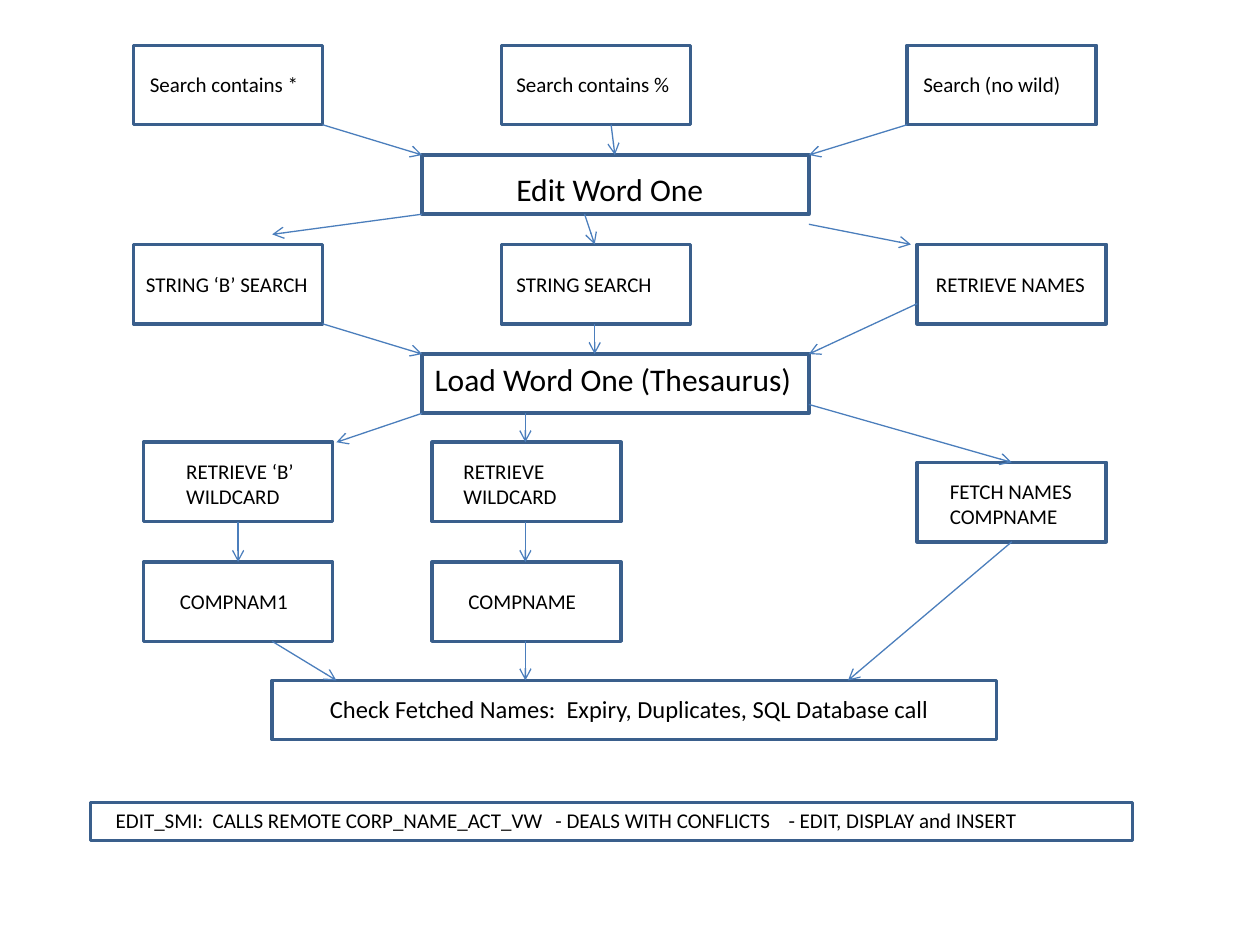
import pptx
import pptx.util
import pptx.dml.color
import pptx.enum.shapes
import pptx.enum.text
import pptx.oxml
import pptx.oxml.ns
from dataclasses import dataclass
from lxml import etree

Inches = pptx.util.Inches
Pt = pptx.util.Pt
RGB = pptx.dml.color.RGBColor.from_string
qn = pptx.oxml.ns.qn


@dataclass(frozen=True)
class Theme:
    font: str = "Calibri"
    ink: str = "000000"
    border: str = "3A5F8C"
    arrow: str = "4B7EBC"
    border_width: float = 2
    arrow_width: float = 0.75
    small: int = 12
    medium: int = 14
    large: int = 18


THEME = Theme()
STEP = (1.5, 0.63)
STAGE = (3.07, 0.47)
STEP_POSITIONS = [
    (1.06, 0.36), (3.98, 0.36), (7.2, 0.36),
    (1.06, 1.94), (3.98, 1.94), (7.28, 1.94),
    (1.14, 3.51), (3.43, 3.51), (7.28, 3.67),
    (1.14, 4.46), (3.43, 4.46),
]
STAGE_POSITIONS = [(3.35, 1.23), (3.35, 2.81)]
CHECK_BAR = (2.16, 5.4, 5.75, 0.47)
EDIT_BAR = (0.72, 6.37, 8.27, 0.3)
EDIT_TABS = (3.49, 5.34)

LABELS = [
    ("Search contains *", 1.09, 0.52, 1.39, THEME.small),
    ("Search contains %", 4, 0.52, 1.43, THEME.small),
    ("Search (no wild)", 7.23, 0.52, 1.3, THEME.small),
    ("Edit Word One", 4, 1.3, 1.7, THEME.large),
    ("STRING ‘B’ SEARCH", 1.06, 2.11, 1.5, THEME.small),
    ("STRING SEARCH", 4, 2.11, 1.29, THEME.small),
    ("RETRIEVE NAMES", 7.33, 2.11, 1.4, THEME.small),
    ("Load Word One (Thesaurus)", 3.35, 2.81, 3.05, THEME.large),
    ("RETRIEVE ‘B’\nWILDCARD", 1.38, 3.59, 1.06, THEME.small),
    ("RETRIEVE\nWILDCARD", 3.58, 3.59, 0.94, THEME.small),
    ("FETCH NAMES\nCOMPNAME", 7.44, 3.75, 1.18, THEME.small),
    ("COMPNAM1", 1.33, 4.62, 1.07, THEME.small),
    ("COMPNAME", 3.62, 4.62, 1.07, THEME.small),
    ("Check Fetched Names:  Expiry, Duplicates, SQL Database call",
     2.52, 5.46, 5, THEME.medium),
]
EDIT_TEXT = ("EDIT_SMI:  CALLS REMOTE CORP_NAME_ACT_VW"
             "\t- DEALS WITH CONFLICTS\t- EDIT, DISPLAY and INSERT")

ARROWS = [
    (2.56, 0.99, 3.35, 1.23), (4.85, 0.99, 4.88, 1.23), (7.2, 0.99, 6.42, 1.23),
    (3.35, 1.7, 2.16, 1.86), (4.64, 1.7, 4.72, 1.94), (6.42, 1.78, 7.23, 1.94),
    (2.56, 2.57, 3.35, 2.81), (4.72, 2.57, 4.72, 2.81), (7.28, 2.41, 6.42, 2.81),
    (3.35, 3.28, 2.67, 3.51), (4.17, 3.28, 4.17, 3.51), (6.42, 3.21, 8.03, 3.67),
    (1.89, 4.14, 1.89, 4.46), (4.17, 4.14, 4.17, 4.46),
    (2.16, 5.09, 2.67, 5.4), (4.17, 5.09, 4.17, 5.4), (8.03, 4.3, 6.73, 5.4),
]


def add_box(s, x, y, w, h):
    box = s.shapes.add_shape(
        pptx.enum.shapes.MSO_SHAPE.FLOWCHART_PROCESS,
        Inches(x), Inches(y), Inches(w), Inches(h))
    box.shadow.inherit = False
    box.fill.background()
    box.line.color.rgb = RGB(THEME.border)
    box.line.width = Pt(THEME.border_width)


def add_label(s, text, x, y, w, size, wrap=False):
    h = size / 72 * 1.2 * (text.count("\n") + 1) + 0.1
    tb = s.shapes.add_textbox(Inches(x), Inches(y), Inches(w), Inches(round(h, 2)))
    tf = tb.text_frame
    tf.text = text
    tf.word_wrap = wrap
    tf.auto_size = pptx.enum.text.MSO_AUTO_SIZE.SHAPE_TO_FIT_TEXT
    for p in tf.paragraphs:
        for r in p.runs:
            r.font.name = THEME.font
            r.font.size = Pt(size)
            r.font.color.rgb = RGB(THEME.ink)
    return tf


def set_tabs(p, stops):
    tabs = etree.SubElement(p._p.get_or_add_pPr(), qn("a:tabLst"))
    for stop in stops:
        etree.SubElement(tabs, qn("a:tab"), pos=str(Inches(stop)), algn="l")


def add_arrow(s, x1, y1, x2, y2):
    c = s.shapes.add_connector(
        pptx.enum.shapes.MSO_CONNECTOR.STRAIGHT,
        Inches(x1), Inches(y1), Inches(x2), Inches(y2))
    c.line.color.rgb = RGB(THEME.arrow)
    c.line.width = Pt(THEME.arrow_width)
    etree.SubElement(c.line._get_or_add_ln(), qn("a:tailEnd"), type="arrow")
    etree.SubElement(c._element.spPr, qn("a:effectLst"))


def main():
    prs = pptx.Presentation()
    prs.slide_width = Inches(10)
    prs.slide_height = Inches(7.5)
    s = prs.slides.add_slide(prs.slide_layouts[6])
    for position in STEP_POSITIONS:
        add_box(s, *position, *STEP)
    for position in STAGE_POSITIONS:
        add_box(s, *position, *STAGE)
    add_box(s, *CHECK_BAR)
    add_box(s, *EDIT_BAR)
    for label in LABELS:
        add_label(s, *label)
    tf = add_label(s, EDIT_TEXT, 0.82, 6.36, 7.4, THEME.small, wrap=True)
    set_tabs(tf.paragraphs[0], EDIT_TABS)
    for arrow in ARROWS:
        add_arrow(s, *arrow)
    prs.save("out.pptx")


main()
